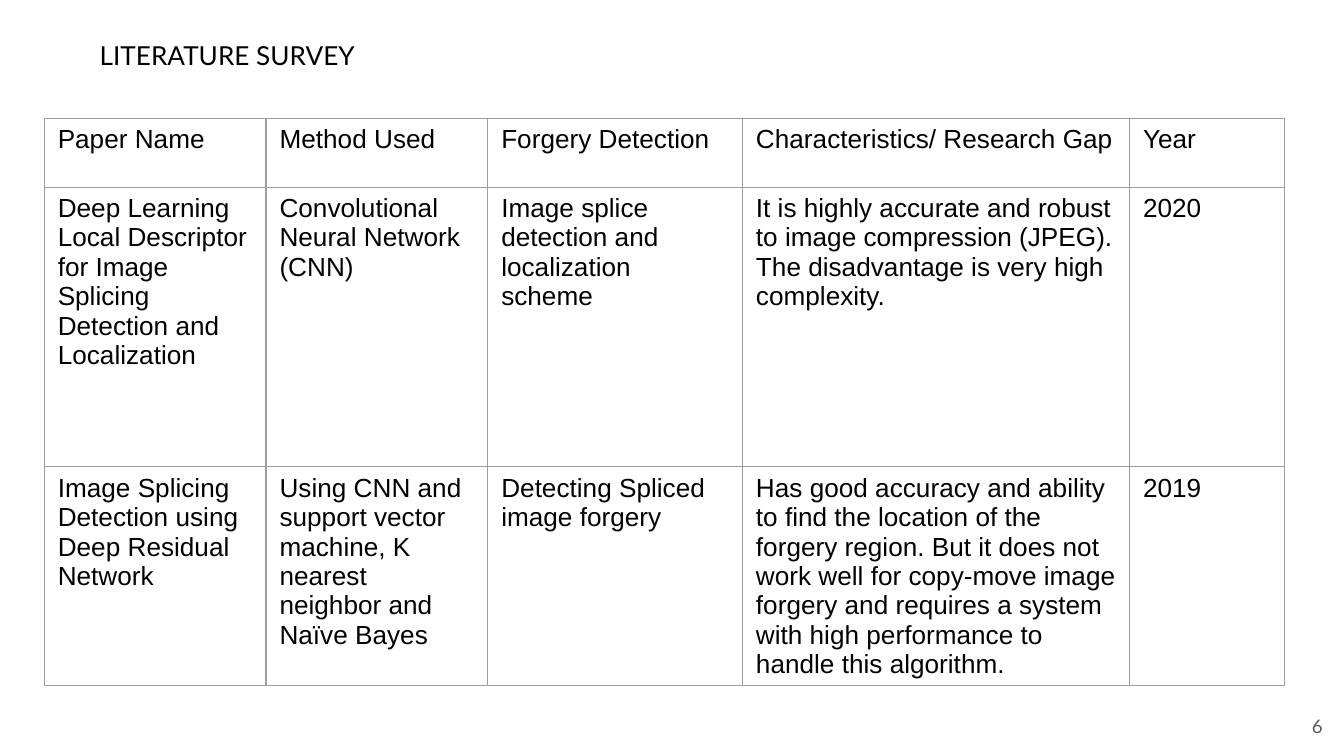
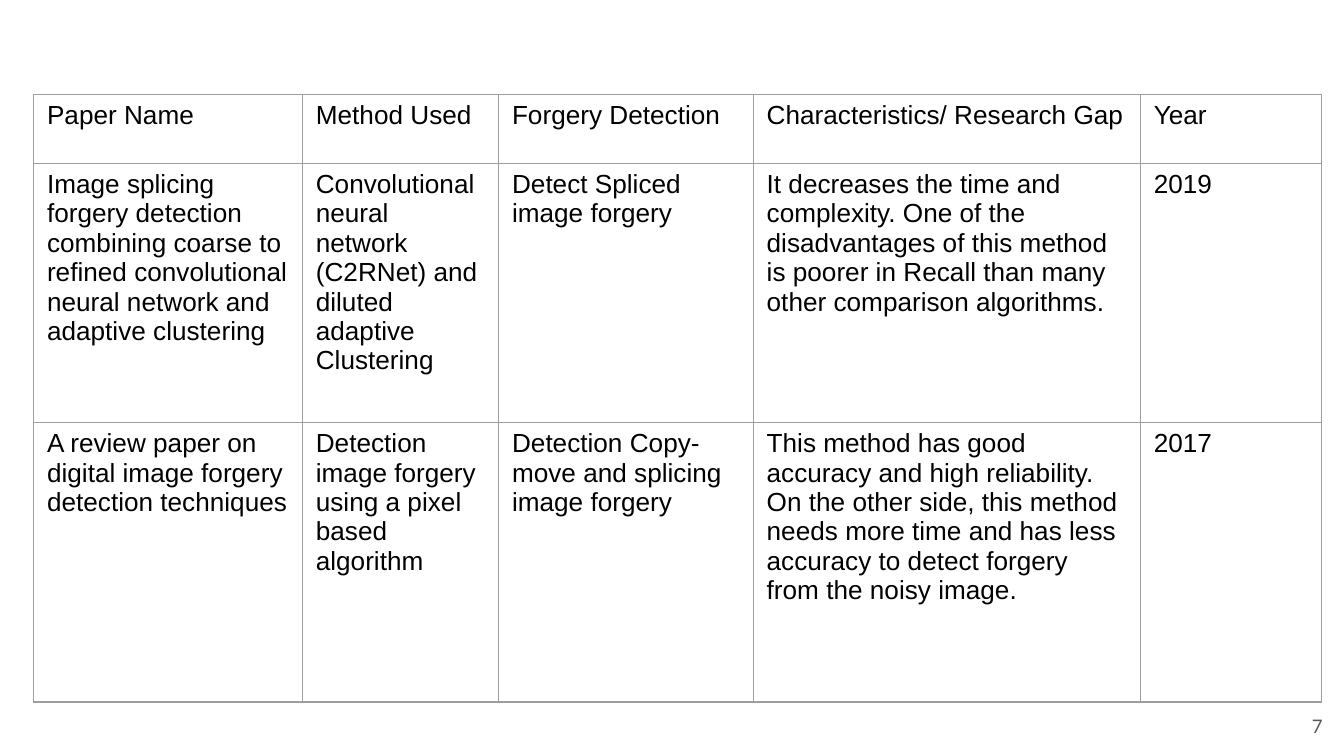
from lxml import etree
from pptx import Presentation
from pptx import util as u
from pptx.dml.color import RGBColor
from pptx.enum import text
from pptx.oxml import ns

BLACK = RGBColor(0x00, 0x00, 0x00)
GREY = RGBColor(0x59, 0x59, 0x59)
BORDER = RGBColor(0x9E, 0x9E, 0x9E)
INSET = u.Inches(0.1)

CELL_FONT = {"name": "Arial", "size": u.Pt(14)}
TITLE_FONT = {"name": "Lato", "size": u.Pt(14), "bold": False}
NUMBER_FONT = {"name": "Lato", "size": u.Pt(10)}
FRAME_FORMAT = {
    "margin_left": INSET, "margin_right": INSET,
    "margin_top": INSET, "margin_bottom": INSET,
    "word_wrap": True, "auto_size": text.MSO_AUTO_SIZE.NONE,
}
TITLE_ONLY, BLANK = 5, 6
FIRST_NUMBER = 6

HEADINGS = ["Paper Name", "Method Used", "Forgery Detection",
            "Characteristics/ Research Gap", "Year"]

# Positions, column widths and row heights are percentages of the slide.
# Rows grow when their text needs more room.
SURVEYS = [
    {
        "title": "LITERATURE SURVEY",
        "corner": (3.3, 15.66),
        "columns": [16.5, 16.5, 18.95, 28.8, 11.55],
        "rows": [9.1, 37, 7.6],
        "papers": [
            ["Deep Learning Local Descriptor for Image Splicing Detection and Localization",
             "Convolutional Neural Network (CNN)",
             "Image splice detection and localization scheme",
             "It is highly accurate and robust to image compression (JPEG). "
             "The disadvantage is very high complexity.",
             "2020"],
            ["Image Splicing Detection using Deep Residual Network",
             "Using CNN and support vector machine, K nearest neighbor and Naïve Bayes",
             "Detecting Spliced image forgery",
             "Has good accuracy and ability to find the location of the forgery region. "
             "But it does not work well for copy-move image forgery and requires a system "
             "with high performance to handle this algorithm.",
             "2019"],
        ],
    },
    {
        "title": None,
        "corner": (2.5, 12.48),
        "columns": [20, 14.6, 18.95, 28.8, 13.5],
        "rows": [9.1, 34.3, 37],
        "papers": [
            ["Image splicing forgery detection combining coarse to refined "
             "convolutional neural network and adaptive clustering",
             "Convolutional neural network (C2RNet) and diluted adaptive Clustering",
             "Detect Spliced image forgery",
             "It decreases the time and complexity. One of the disadvantages of this "
             "method is poorer in Recall than many other comparison algorithms.",
             "2019"],
            ["A review paper on digital image forgery detection techniques",
             "Detection image forgery using a pixel based algorithm",
             "Detection Copy-move and splicing image forgery",
             "This method has good accuracy and high reliability. On the other side, "
             "this method needs more time and has less accuracy to detect forgery "
             "from the noisy image.",
             "2017"],
        ],
    },
]

presentation = Presentation()
presentation.slide_width = u.Inches(10)
presentation.slide_height = presentation.slide_width * 9 // 16


def place(left, top, width, height):
    """Turn percentages of the slide into left, top, width and height."""
    across, down = presentation.slide_width, presentation.slide_height
    return [int(side * share / 100) for side, share in
            zip((across, down, across, down), (left, top, width, height))]


def write(frame, words, font, color, align=text.PP_ALIGN.LEFT):
    frame.text = words
    paragraph = frame.paragraphs[0]
    paragraph.alignment = align
    run = paragraph.runs[0]
    for name, value in font.items():
        setattr(run.font, name, value)
    run.font.color.rgb = color


for number, survey in enumerate(SURVEYS, FIRST_NUMBER):
    layout = TITLE_ONLY if survey["title"] else BLANK
    slide = presentation.slides.add_slide(presentation.slide_layouts[layout])

    # Survey table
    columns, rows = survey["columns"], survey["rows"]
    frame = slide.shapes.add_table(
        len(rows), len(columns), *place(*survey["corner"], sum(columns), sum(rows)))
    table = frame.table
    for column, share in zip(table.columns, columns):
        column.width = int(presentation.slide_width * share / 100)
    for row, share, words in zip(table.rows, rows, [HEADINGS] + survey["papers"]):
        row.height = int(presentation.slide_height * share / 100)
        for cell, entry in zip(row.cells, words):
            write(cell.text_frame, entry, CELL_FONT, BLACK)
            cell.margin_left = cell.margin_right = INSET
            cell.margin_top = cell.margin_bottom = u.Inches(0.05)
            cell.fill.background()
            properties = cell._tc.get_or_add_tcPr()
            for index, edge in enumerate(("lnL", "lnR", "lnT", "lnB")):
                line = etree.Element(ns.qn(f"a:{edge}"), w=str(u.Pt(0.75)))
                solid = etree.SubElement(line, ns.qn("a:solidFill"))
                etree.SubElement(solid, ns.qn("a:srgbClr"), val=str(BORDER))
                properties.insert(index, line)

    # Title and slide number
    labels = []
    if survey["title"]:
        title = slide.shapes.title
        title.left, title.top, title.width, title.height = place(6.42, 3.4, 85, 7.8)
        labels.append((title, survey["title"], TITLE_FONT, BLACK,
                       text.PP_ALIGN.LEFT, text.MSO_ANCHOR.TOP))
    number_box = slide.shapes.add_textbox(*place(93.4, 92.25, 6, 7.65))
    labels.append((number_box, str(number), NUMBER_FONT, GREY,
                   text.PP_ALIGN.RIGHT, text.MSO_ANCHOR.MIDDLE))
    for shape, words, font, color, align, anchor in labels:
        for name, value in FRAME_FORMAT.items():
            setattr(shape.text_frame, name, value)
        shape.text_frame.vertical_anchor = anchor
        write(shape.text_frame, words, font, color, align)

presentation.save("out.pptx")
